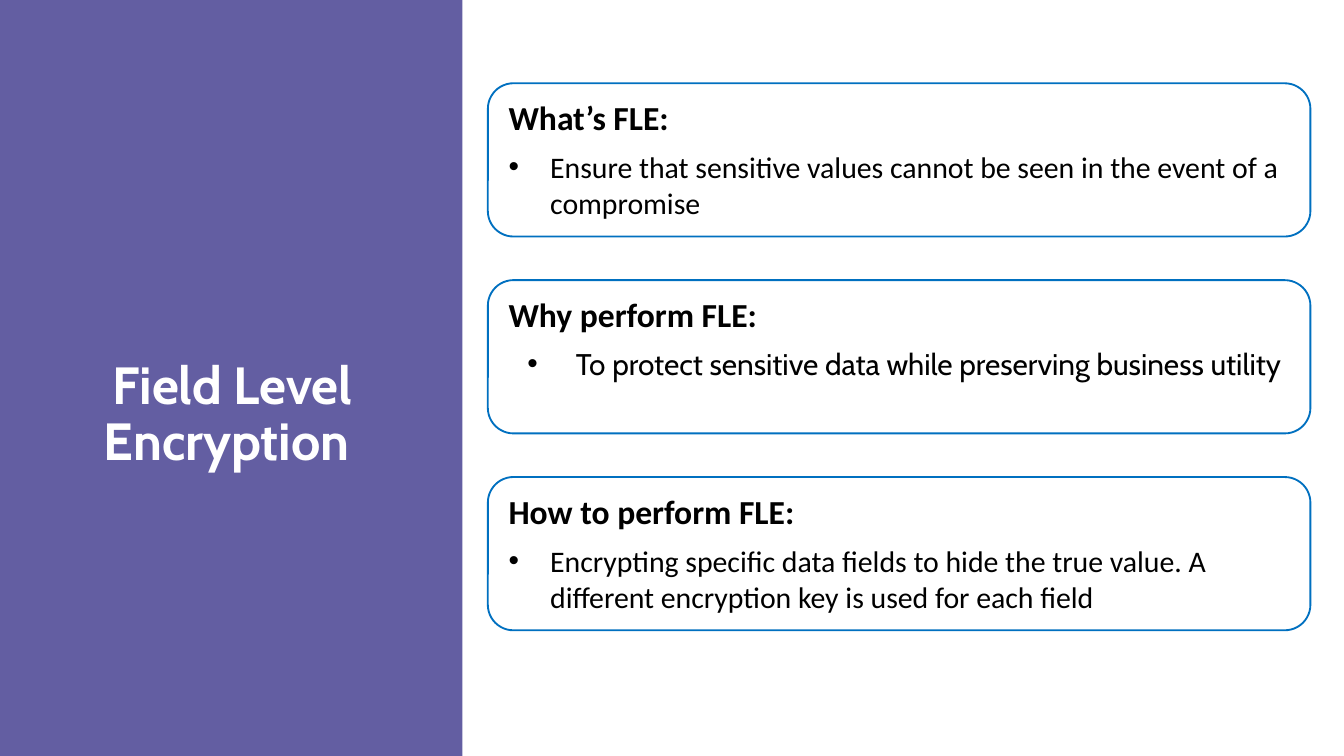
from dataclasses import dataclass

from lxml.etree import SubElement
from pptx import Presentation
from pptx.dml.color import RGBColor
from pptx.enum.shapes import MSO_SHAPE
from pptx.enum.text import MSO_ANCHOR, MSO_AUTO_SIZE, PP_ALIGN
from pptx.oxml.ns import qn
from pptx.util import Inches, Pt


@dataclass(frozen=True)
class Theme:
    panel: str = "635EA2"
    white: str = "FFFFFF"
    border: str = "0070C0"
    ink: str = "000000"
    title_font: str = "Cabin"
    body_font: str = "Calibri"
    title_size: int = 28
    heading_size: int = 18
    bullet_size: int = 16


THEME = Theme()
SLIDE_WIDTH = 10
SLIDE_HEIGHT = SLIDE_WIDTH * 9 / 16
PANEL_WIDTH = 3.44
CARD_LEFT, FIRST_CARD_TOP, LAST_CARD_TOP = 3.63, 0.62, 3.55
CARD_WIDTH, CARD_HEIGHT = 6.12, 1.14
TOPICS = [
    ("What’s FLE:",
     "Ensure that sensitive values cannot be seen in the event of a compromise",
     THEME.body_font, 0.31, 0.31),
    ("Why perform FLE:",
     "To protect sensitive data while preserving business utility",
     THEME.title_font, 0.5, 0.36),
    ("How to perform FLE:",
     "Encrypting specific data fields to hide the true value. "
     "A different encryption key is used for each field",
     THEME.body_font, 0.31, 0.31),
]
CARD_PITCH = (LAST_CARD_TOP - FIRST_CARD_TOP) / (len(TOPICS) - 1)


def write(paragraph, text, *, size, font=THEME.body_font, color=THEME.ink,
          bold=False, align=PP_ALIGN.LEFT, before=0, spacing=1.0):
    paragraph.alignment = align
    paragraph.space_before = Pt(before)
    paragraph.line_spacing = spacing
    run = paragraph.add_run()
    run.text = text
    run.font.name = font
    run.font.size = Pt(size)
    run.font.bold = bold
    run.font.color.rgb = RGBColor.from_string(color)


def add_bullet(paragraph, indent, hanging):
    properties = paragraph._p.get_or_add_pPr()
    properties.set("marL", str(Inches(indent)))
    properties.set("indent", str(-Inches(hanging)))
    bullet_color = SubElement(properties, qn("a:buClr"))
    SubElement(bullet_color, qn("a:srgbClr"), val=THEME.ink)
    SubElement(properties, qn("a:buFont"), typeface="Arial")
    SubElement(properties, qn("a:buChar"), char="•")


def add_title_panel(slide, left, top, width, height):
    panel = slide.shapes.add_shape(MSO_SHAPE.RECTANGLE, Inches(left), Inches(top),
                                   Inches(width), Inches(height))
    panel.shadow.inherit = False
    panel.fill.solid()
    panel.fill.fore_color.rgb = RGBColor.from_string(THEME.panel)
    panel.line.fill.background()
    slide.shapes._spTree.insert(2, panel._element)

    title = slide.shapes.title
    title.left, title.top = Inches(left + 0.35), Inches(top + 2.62)
    title.width, title.height = Inches(width - 0.68), Inches(0.5)
    frame = title.text_frame
    frame.auto_size = MSO_AUTO_SIZE.NONE
    frame.word_wrap = True
    frame.vertical_anchor = MSO_ANCHOR.TOP
    write(frame.paragraphs[0], "Field Level Encryption ", size=THEME.title_size,
          font=THEME.title_font, color=THEME.white, bold=True,
          align=PP_ALIGN.CENTER, spacing=0.9)


def add_topic_card(slide, left, top, width, height, topic):
    heading, answer, answer_font, indent, hanging = topic
    card = slide.shapes.add_shape(MSO_SHAPE.ROUNDED_RECTANGLE, Inches(left),
                                  Inches(top), Inches(width), Inches(height))
    card.shadow.inherit = False
    card.fill.solid()
    card.fill.fore_color.rgb = RGBColor.from_string(THEME.white)
    card.line.color.rgb = RGBColor.from_string(THEME.border)
    card.line.width = Pt(1)
    frame = card.text_frame
    frame.word_wrap = True
    frame.vertical_anchor = MSO_ANCHOR.TOP
    write(frame.paragraphs[0], heading, size=THEME.heading_size, bold=True)
    bullet = frame.add_paragraph()
    add_bullet(bullet, indent, hanging)
    write(bullet, answer, size=THEME.bullet_size, font=answer_font, before=6)


def main():
    deck = Presentation()
    deck.slide_width, deck.slide_height = Inches(SLIDE_WIDTH), Inches(SLIDE_HEIGHT)
    slide = deck.slides.add_slide(deck.slide_layouts.get_by_name("Title Only"))
    add_title_panel(slide, 0, 0, PANEL_WIDTH, SLIDE_HEIGHT)
    for row, topic in enumerate(TOPICS):
        add_topic_card(slide, CARD_LEFT, FIRST_CARD_TOP + row * CARD_PITCH,
                       CARD_WIDTH, CARD_HEIGHT, topic)
    deck.save("out.pptx")


if __name__ == "__main__":
    main()
